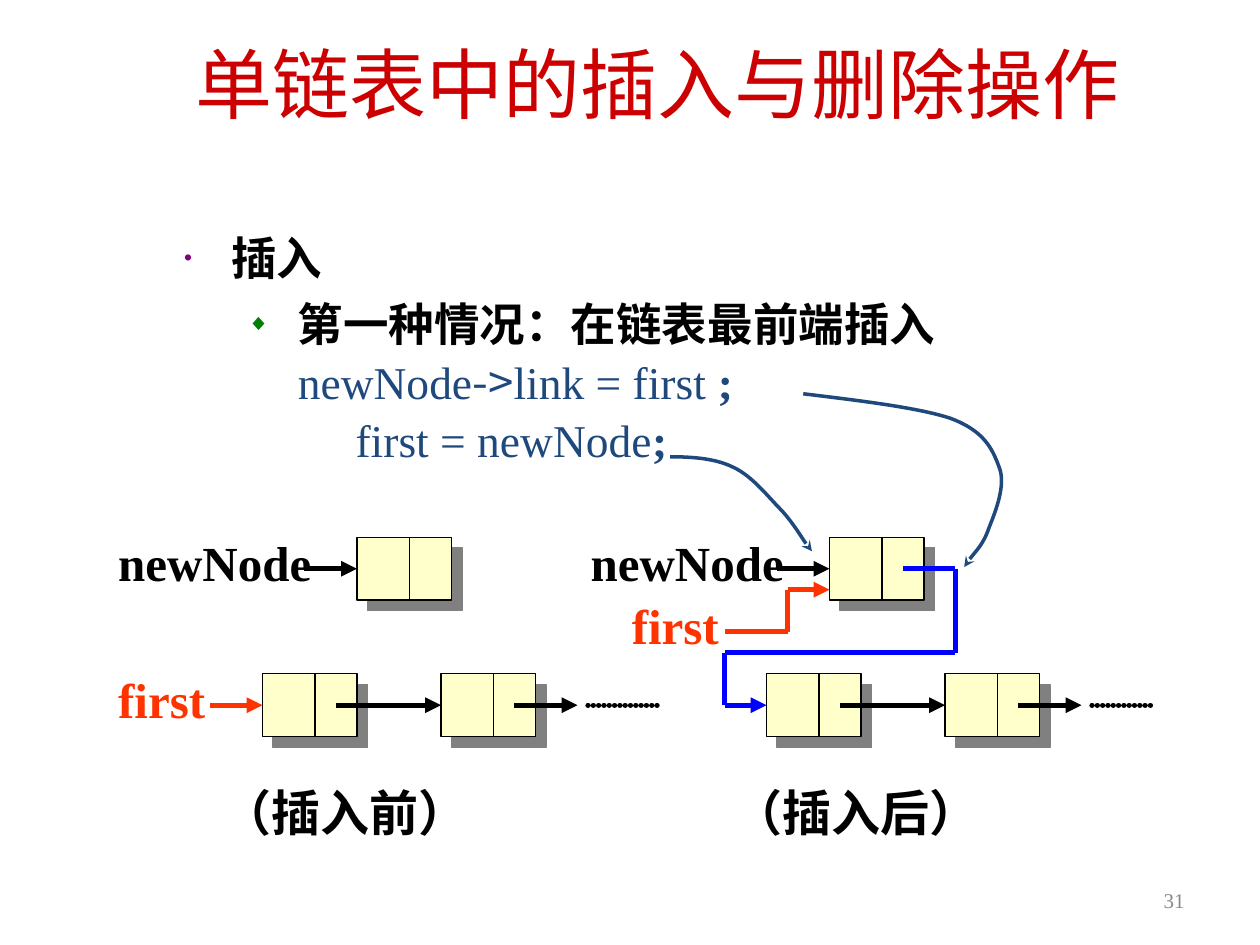
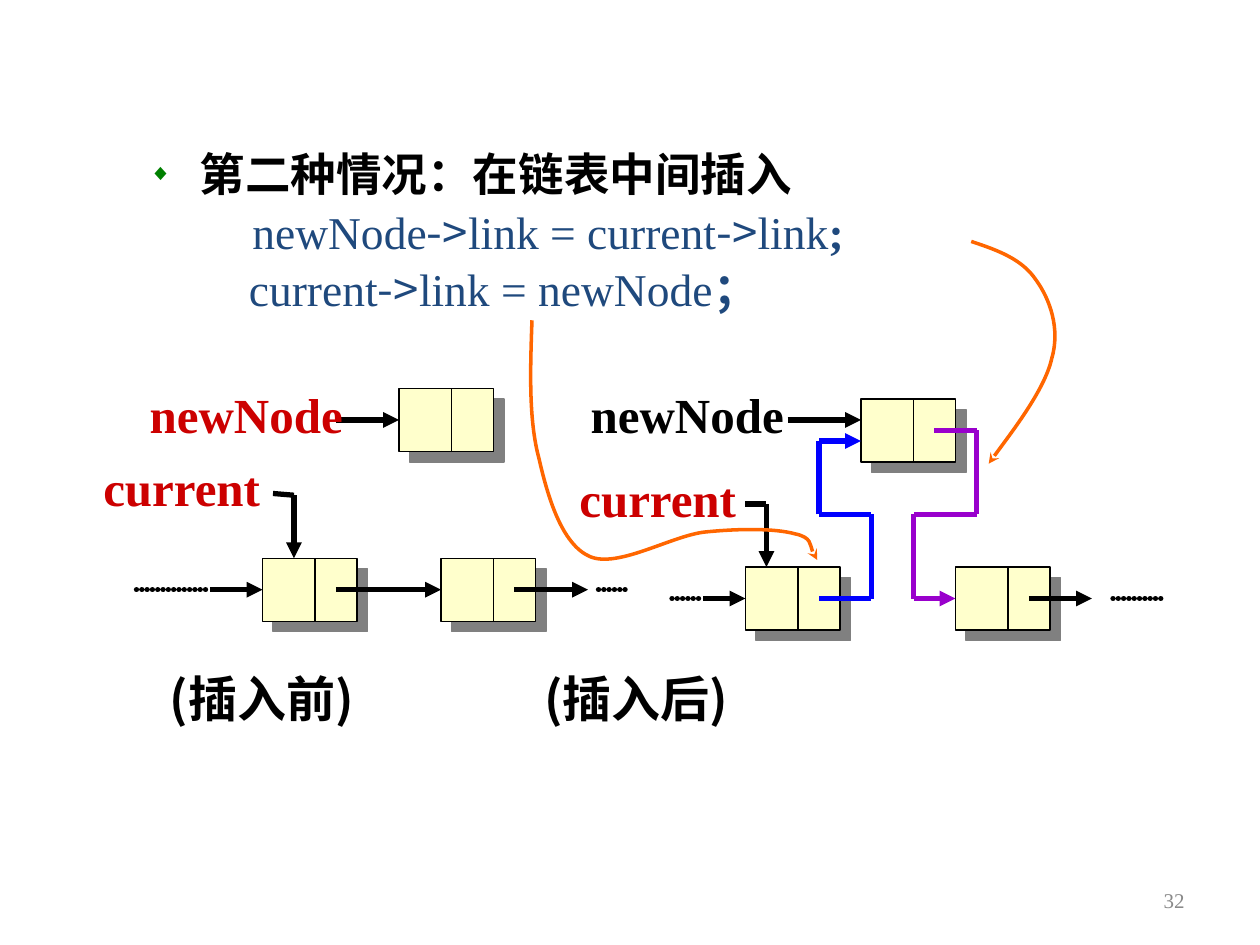
from lxml import etree
from pptx import Presentation
from pptx.dml.color import RGBColor
from pptx.enum.shapes import MSO_CONNECTOR, MSO_SHAPE
from pptx.enum.text import MSO_ANCHOR, MSO_AUTO_SIZE, PP_ALIGN
from pptx.oxml.ns import qn
from pptx.util import Pt

LINE = MSO_CONNECTOR.STRAIGHT
RECT = MSO_SHAPE.RECTANGLE
MID, TOP = MSO_ANCHOR.MIDDLE, MSO_ANCHOR.TOP
FIXED = MSO_AUTO_SIZE.NONE
LEFT, MIDDLE, RIGHT = PP_ALIGN.LEFT, PP_ALIGN.CENTER, PP_ALIGN.RIGHT

BLACK = RGBColor(0x00, 0x00, 0x00)
CREAM = RGBColor(0xFF, 0xFF, 0xCC)
GRAY = RGBColor(0x80, 0x80, 0x80)
PALE = RGBColor(0x89, 0x89, 0x89)
RED = RGBColor(0xCC, 0x00, 0x00)
FLAME = RGBColor(0xFF, 0x33, 0x00)
ORANGE = RGBColor(0xFF, 0x66, 0x00)
BLUE = RGBColor(0x00, 0x00, 0xFF)
NAVY = RGBColor(0x1F, 0x49, 0x7D)
VIOLET = RGBColor(0x99, 0x00, 0xCC)
PURPLE = RGBColor(0x80, 0x00, 0x80)
GREEN = RGBColor(0x00, 0x80, 0x00)

TIMES, SANS, HEI = "Times New Roman", "Calibri", "Noto Sans CJK SC"
WIDE, HIGH, SPLIT, STEP = 54, 36, 30, 102


def sub(node, tag, **attrs):
    return etree.SubElement(node, qn(tag), attrs)


def add_run(para, text, size, font, color, bold=False):
    run = para.add_run()
    run.text = text
    run.font.size, run.font.name, run.font.bold = Pt(size), font, bold
    run.font.color.rgb = color
    sub(run._r.get_or_add_rPr(), "a:ea", typeface=HEI)


def place(shape, x, y, wide, high):
    shape.left, shape.top, shape.width, shape.height = map(Pt, (x, y, wide, high))
    shape.text_frame.auto_size = FIXED


def add_note(slide, box, text, size, font, color, bold=True, align=LEFT, pitch=None):
    frame = slide.shapes.add_textbox(*map(Pt, box)).text_frame
    frame.word_wrap = True
    frame.vertical_anchor = TOP if bold else MID
    para = frame.paragraphs[0]
    para.alignment = align
    if pitch:
        para.line_spacing = Pt(pitch)
    add_run(para, text, size, font, color, bold)


def add_title(slide, text):
    title = slide.shapes.title
    place(title, 37, 20, 678, 54)
    title.text_frame.vertical_anchor = MID
    para = title.text_frame.paragraphs[0]
    para.alignment = MIDDLE
    add_run(para, text, 44, SANS, RED)


def add_item(frame, runs, margin, hang=0, bullet=None, level=0, before=0):
    para = frame.paragraphs[0]
    if para.runs:
        para = frame.add_paragraph()
    para.level = level
    props = para._p.get_or_add_pPr()
    props.set("marL", str(Pt(margin)))
    props.set("indent", str(-Pt(hang)))
    if bullet:
        char, color = bullet
        sub(sub(props, "a:buClr"), "a:srgbClr", val=str(color))
        sub(props, "a:buSzPct", val="50000")
        sub(props, "a:buChar", char=char)
    else:
        sub(props, "a:buNone")
    para.alignment = LEFT
    para.line_spacing, para.space_before = Pt(32), Pt(before)
    for text, font, color, bold in runs:
        add_run(para, text, 26, font, color, bold)


def add_case(frame, text, before=0):
    add_item(frame, [(text, SANS, BLACK, True)], 65, 29, ("◆", GREEN), 1, before)


def add_code(frame, code, end, margin):
    runs = []
    for i, part in enumerate(code.split("->")):
        if i:
            runs.append(("->", HEI, NAVY, False))
        runs.append((part, TIMES, NAVY, False))
    add_item(frame, runs + [(end, TIMES, NAVY, True)], margin, before=1)


def add_curve(slide, points, color):
    build = slide.shapes.build_freeform(*points[0], scale=Pt(1))
    build.add_line_segments(points[1:], close=False)
    curve = build.convert_to_shape()
    curve.shadow.inherit = False
    curve.fill.background()
    curve.line.color.rgb, curve.line.width = color, Pt(2)
    sub(curve.line._get_or_add_ln(), "a:tailEnd", type="stealth")
    parts = list(curve._element.iter(qn("a:lnTo")))
    trace = parts[0].getparent()
    for i in range(0, len(parts), 3):
        bend = sub(trace, "a:cubicBezTo")
        for part in parts[i:i + 3]:
            bend.append(part[0])
            trace.remove(part)


class Plot:
    def __init__(self, slide, x, y):
        self.slide, self.x, self.y = slide, x, y

    def line(self, start, end, color=BLACK, width=3, arrow=False, dots=False):
        ends = [Pt(v) for x, y in (start, end) for v in (self.x + x, self.y + y)]
        link = self.slide.shapes.add_connector(LINE, *ends)
        link.line.color.rgb, link.line.width = color, Pt(width)
        stroke = link.line._get_or_add_ln()
        if dots:
            stroke.set("cap", "rnd")
            sub(sub(stroke, "a:custDash"), "a:ds", d="100000", sp="1000")
        if arrow:
            sub(stroke, "a:tailEnd", type="triangle")
        sub(link._element.spPr, "a:effectLst")
        return link

    def route(self, points, color=BLACK, goal=None):
        last = len(points) - 2
        for i, (start, end) in enumerate(zip(points, points[1:])):
            link = self.line(start, end, color, arrow=i == last)
        if goal is not None:
            link.end_connect(goal, 1)

    def cell(self, x, y):
        cell = self.slide.shapes.add_shape(
            RECT, Pt(self.x + x), Pt(self.y + y), Pt(WIDE), Pt(HIGH))
        cell.fill.solid()
        cell.fill.fore_color.rgb = CREAM
        cell.line.color.rgb, cell.line.width = BLACK, Pt(0.75)
        cell.shadow.inherit = False
        shade = sub(cell._element.spPr.find(qn("a:effectLst")), "a:outerShdw",
                    dist=str(Pt(8.5)), dir="2700000", algn="ctr", rotWithShape="0")
        sub(shade, "a:srgbClr", val=str(GRAY))
        self.line((x + SPLIT, y), (x + SPLIT, y + HIGH), width=0.75)
        return cell

    def tag(self, x, y, text, color=BLACK):
        box = (self.x + x, self.y + y, 130, 41)
        add_note(self.slide, box, text, 28, TIMES, color)

    def trail(self, x, y, tail, gap, dots):
        self.route([(x, y), (x + tail, y)])
        x += tail + gap
        self.line((x, y), (x + dots, y), dots=True)

    def chain(self, x, y, tail, dots):
        first, second = self.cell(x, y), self.cell(x + STEP, y)
        mid = y + HIGH / 2
        self.route([(x + 42, mid), (x + STEP, mid)], goal=second)
        self.trail(x + STEP + 42, mid, tail, 6, dots)
        return first

    def lead(self, x, y, dots, goal):
        self.line((x, y), (x + dots, y), dots=True)
        self.route([(x + dots, y), (102, y)], goal=goal)


def front_node(plot):
    node = plot.cell(144, 7)
    plot.route([(114, 25), (144, 25)], goal=node)
    plot.tag(0.5, 1, "newNode")


def front_old(slide, x, y):
    plot = Plot(slide, x, y)
    front_node(plot)
    first = plot.chain(90, 85, 36, 42)
    plot.route([(60, 103), (90, 103)], FLAME, first)
    plot.tag(0.5, 79, "first", FLAME)


def front_new(slide, x, y):
    plot = Plot(slide, x, y)
    front_node(plot)
    first = plot.chain(108, 85, 36, 36)
    plot.route([(84, 61), (120, 61), (120, 37), (144, 37)], FLAME)
    plot.tag(24, 37, "first", FLAME)
    plot.route([(186, 25), (216, 25), (216, 73), (84, 73), (84, 103), (108, 103)],
               BLUE, first)


def mid_old(slide, x, y):
    plot = Plot(slide, x, y)
    node = plot.cell(180, 6)
    plot.route([(144, 24), (180, 24)], goal=node)
    plot.tag(30.5, 0, "newNode", RED)
    first = plot.chain(102, 103, 42, 18)
    plot.lead(30, 121, 42, first)
    plot.route([(108, 66), (120, 67), (120, 103)])
    plot.tag(4, 42, "current", RED)


def mid_new(slide, x, y):
    plot = Plot(slide, x, y)
    plot.cell(168, 12)
    first, second = plot.cell(102, 108), plot.cell(222, 108)
    plot.route([(126, 24), (168, 24)])
    plot.tag(6.5, 0, "newNode")
    plot.lead(60, 126, 18, first)
    plot.route([(102, 72), (114, 72), (114, 108)])
    plot.tag(0, 48, "current", RED)
    plot.route([(144, 126), (174, 126), (174, 78), (144, 78), (144, 36), (168, 36)], BLUE)
    plot.route([(210, 30), (234, 30), (234, 78), (198, 78), (198, 126), (222, 126)],
               VIOLET, second)
    plot.trail(264, 126, 36, 12, 30)


def add_names(slide, y, names, font):
    for x, text in names:
        add_note(slide, (x, y, 190, 42), text, 28, font, BLACK, pitch=37)


def new_slide(deck, number, box):
    slide = deck.slides.add_slide(deck.slide_layouts[1])
    body = slide.placeholders[1]
    place(body, *box)
    add_note(slide, (516, 500, 168, 29), number, 12, TIMES, PALE, False, RIGHT)
    return slide, body.text_frame


def front_slide(deck):
    slide, frame = new_slide(deck, "31", (98, 127, 539, 182))
    add_title(slide, "单链表中的插入与删除操作")
    add_item(frame, [("插入", SANS, BLACK, True)], 27, 27, ("•", PURPLE))
    add_case(frame, "第一种情况：在链表最前端插入", 6)
    add_code(frame, "newNode->link = first ", ";", 65)
    add_code(frame, "first = newNode", ";", 98)
    add_names(slide, 440, [(120, "（插入前）"), (412, "（插入后）")], TIMES)
    front_old(slide, 60, 300)
    front_new(slide, 330, 300)
    add_curve(slide, [(459, 225), (492, 229), (525, 233), (543, 239), (562, 246),
                      (567, 256), (571, 267), (575, 277), (569, 292), (565, 302),
                      (562, 311), (553, 320), (551, 324)], NAVY)
    add_curve(slide, [(383, 261), (396, 261), (409, 262), (419, 267), (430, 272),
                      (439, 284), (447, 292), (454, 300), (461, 312), (464, 315)], NAVY)


def mid_slide(deck):
    slide, frame = new_slide(deck, "32", (42, 79, 641, 424))
    title = slide.shapes.title._element
    title.getparent().remove(title)
    add_case(frame, "第二种情况：在链表中间插入")
    add_code(frame, "newNode->link = current->link", ";", 95)
    add_code(frame, "current->link = newNode", "；", 93)
    add_names(slide, 375, [(90, "(插入前)"), (304, "(插入后)")], HEI)
    mid_old(slide, 48, 216)
    mid_new(slide, 324, 216)
    add_curve(slide, [(555, 138), (570, 143), (584, 148), (592, 160), (600, 171),
                      (606, 188), (601, 205), (597, 223), (572, 255), (565, 265)], ORANGE)
    add_curve(slide, [(304, 183), (303, 211), (302, 240), (308, 262), (313, 284),
                      (321, 311), (337, 318), (353, 325), (384, 306), (403, 304),
                      (423, 302), (443, 302), (454, 305), (464, 307), (464, 318),
                      (467, 320)], ORANGE)


def main():
    deck = Presentation()
    deck.slide_width, deck.slide_height = Pt(720), Pt(540)
    front_slide(deck)
    mid_slide(deck)
    deck.save("out.pptx")


if __name__ == "__main__":
    main()
